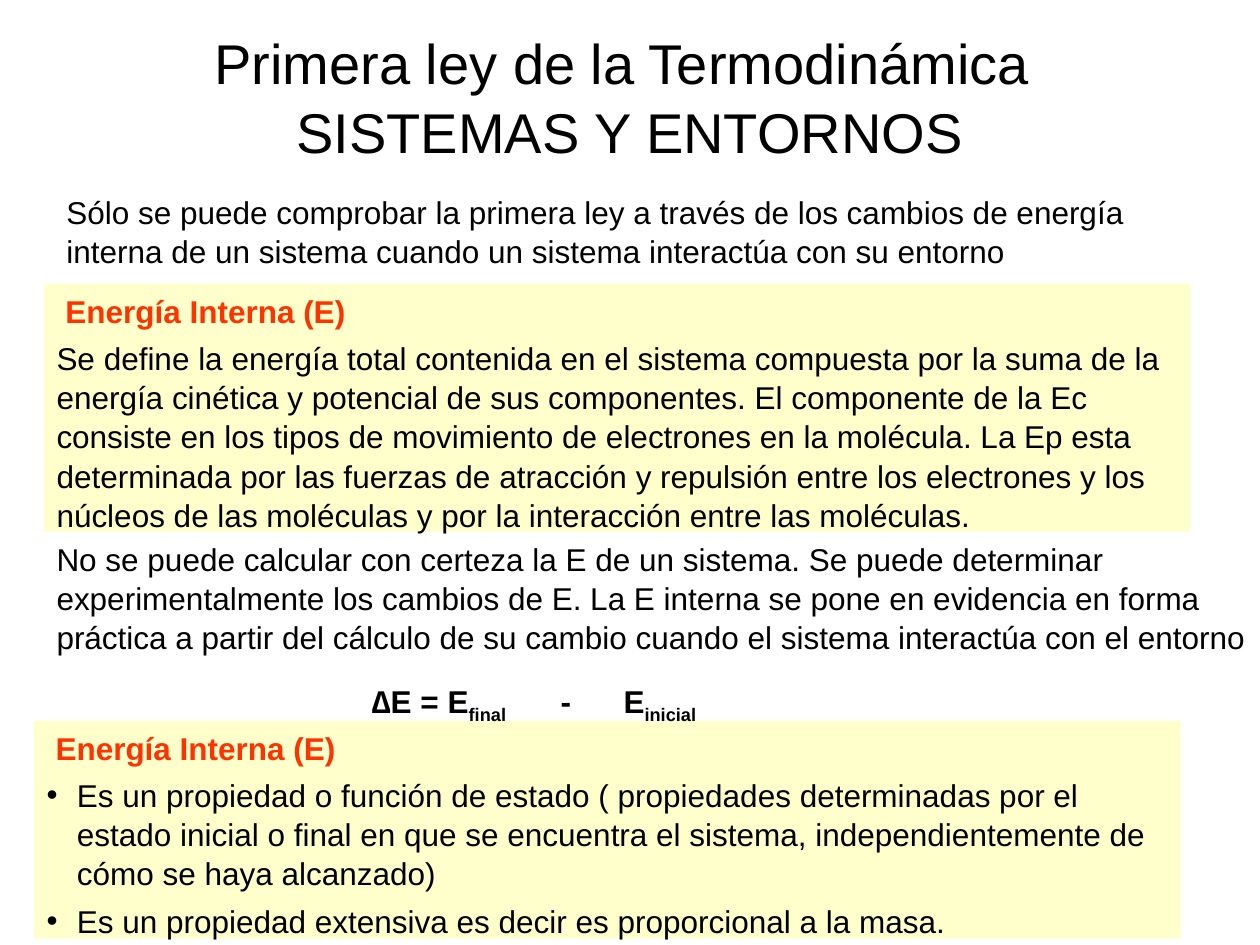
import pptx
import pptx.dml.color
import pptx.enum.shapes
import pptx.enum.text
import pptx.oxml
import pptx.oxml.ns
import pptx.util
from dataclasses import dataclass
from typing import Any

Cm, Pt = pptx.util.Cm, pptx.util.Pt
RGB = pptx.dml.color.RGBColor
PP = pptx.enum.text.PP_ALIGN
ANCHOR = pptx.enum.text.MSO_ANCHOR

BLACK = RGB(0x00, 0x00, 0x00)
RED = RGB(0xFF, 0x33, 0x00)
CREAM = RGB(0xFF, 0xFF, 0xCC)
HEAD = "Energía Interna (E)"
SUB = "-25000"


@dataclass
class Run:
    text: str
    low: bool = False


@dataclass
class Para:
    runs: list[Run]
    color: RGB = BLACK
    bold: bool = False
    size: float = 18
    align: Any = PP.LEFT
    left: float = 0
    hang: float = 0
    before: float = 4.5
    tabs: tuple[float, ...] = ()


@dataclass
class Box:
    left: float
    top: float
    width: float
    height: float
    paras: list[Para]
    fill: Any = None
    inset: tuple[float, ...] = (0.25, 0.13, 0.25, 0.13)
    anchor: Any = ANCHOR.TOP


def apply(item: Any, values: dict[str, Any]) -> None:
    for name, value in values.items():
        setattr(item, name, value)


def add_tag(par: Any, tag: str, **attrs: str) -> Any:
    node = pptx.oxml.parse_xml(f'<a:{tag} {pptx.oxml.ns.nsdecls("a")}/>')
    for name, value in attrs.items():
        node.set(name, value)
    par.append(node)
    return node


def write(par: Any, data: Para, first: bool) -> None:
    # Spacing comes first, then bullets and tabs, then the font
    apply(par, {"alignment": data.align, "line_spacing": 1.04,
                "space_before": Pt(0 if first else data.before),
                "space_after": Pt(0)})
    props = par._p.get_or_add_pPr()
    props.set("marL", str(int(Cm(data.left))))
    props.set("indent", str(int(Cm(-data.hang))))
    if data.hang:
        add_tag(props, "buChar", char="•")
    else:
        add_tag(props, "buNone")
    if data.tabs:
        stops = add_tag(props, "tabLst")
        for stop in data.tabs:
            add_tag(stops, "tab", pos=str(int(Cm(stop))), algn="l")
    for part in data.runs:
        for i, line in enumerate(part.text.split("\n")):
            if i:
                par.add_line_break()
            run = par.add_run()
            run.text = line
            apply(run.font, {"name": "Arial", "size": Pt(data.size),
                             "bold": data.bold})
            run.font.color.rgb = data.color
            if part.low:
                run.font._element.set("baseline", SUB)


def fill_box(shape: Any, box: Box) -> None:
    apply(shape, {"left": Cm(box.left), "top": Cm(box.top),
                  "width": Cm(box.width), "height": Cm(box.height)})
    if box.fill is not None:
        shape.fill.solid()
        shape.fill.fore_color.rgb = box.fill
        shape.line.fill.background()
    frame = shape.text_frame
    sides = ("margin_left", "margin_top", "margin_right", "margin_bottom")
    apply(frame, dict(zip(sides, map(Cm, box.inset))))
    apply(frame, {"word_wrap": True, "vertical_anchor": box.anchor,
                  "auto_size": pptx.enum.text.MSO_AUTO_SIZE.NONE})
    for i, data in enumerate(box.paras):
        write(frame.add_paragraph() if i else frame.paragraphs[0],
              data, i == 0)


def add_box(slide: Any, box: Box) -> None:
    area = (Cm(box.left), Cm(box.top), Cm(box.width), Cm(box.height))
    if box.fill is None:
        shape = slide.shapes.add_textbox(*area)
    else:
        shape = slide.shapes.add_shape(
            pptx.enum.shapes.MSO_SHAPE.RECTANGLE, *area)
        shape.shadow.inherit = False
    fill_box(shape, box)


def plain(text: str, **style: Any) -> Para:
    return Para([Run(text)], **style)


def head() -> Para:
    return plain(HEAD, color=RED, bold=True, left=0.18)


def point(text: str) -> Para:
    return plain(text, left=0.61, hang=0.61)


TITLE = Box(1.27, 0.33, 22.86, 3.18, [
    plain("Primera ley de la Termodinámica \nSISTEMAS Y ENTORNOS",
          size=32, align=PP.CENTER)], anchor=ANCHOR.MIDDLE)

LIST = Box(0.69, 14.53, 23.11, 4.39, [
    head(),
    point("Es un propiedad o función de estado ( propiedades determinadas "
          "por el estado inicial o final en que se encuentra el sistema, "
          "independientemente de cómo se haya alcanzado)"),
    point("Es un propiedad extensiva es decir es proporcional a la masa."),
], CREAM)

BOXES = [
    # Introduction
    Box(1.09, 3.73, 23.11, 1.78, [
        plain("Sólo se puede comprobar la primera ley a través de los cambios "
              "de energía interna de un sistema cuando un sistema interactúa "
              "con su entorno")]),
    # Definition
    Box(0.89, 5.72, 23.11, 5, [
        head(),
        plain("Se define la energía total contenida en el sistema compuesta "
              "por la suma de la energía cinética y potencial de sus "
              "componentes. El componente de la Ec consiste en los tipos de "
              "movimiento de electrones en la molécula. La Ep esta "
              "determinada por las fuerzas de atracción y repulsión entre "
              "los electrones y los núcleos de las moléculas y por la "
              "interacción entre las moléculas.")], CREAM),
    # Measurement
    Box(0.89, 10.72, 24.51, 4.06, [
        plain("No se puede calcular con certeza la E de un sistema. Se puede "
              "determinar experimentalmente los cambios de E. La E interna se "
              "pone en evidencia en forma práctica a partir del cálculo de su "
              "cambio cuando el sistema interactúa con el entorno")]),
    # Formula
    Box(7.49, 13.72, 6.6, 0.99, [
        Para([Run("∆E = E"), Run("final", True), Run("\t-\tE"),
              Run("inicial", True)], bold=True, tabs=(3.22, 4.12))],
        inset=(0, 0, 0, 0.13)),
]


def main() -> None:
    deck = pptx.Presentation()
    apply(deck, {"slide_width": Cm(25.4), "slide_height": Cm(19.05)})
    slide = deck.slides.add_slide(deck.slide_layouts[1])
    fill_box(slide.shapes.title, TITLE)
    fill_box(slide.placeholders[1], LIST)
    for box in BOXES:
        add_box(slide, box)
    deck.save("out.pptx")


if __name__ == "__main__":
    main()
